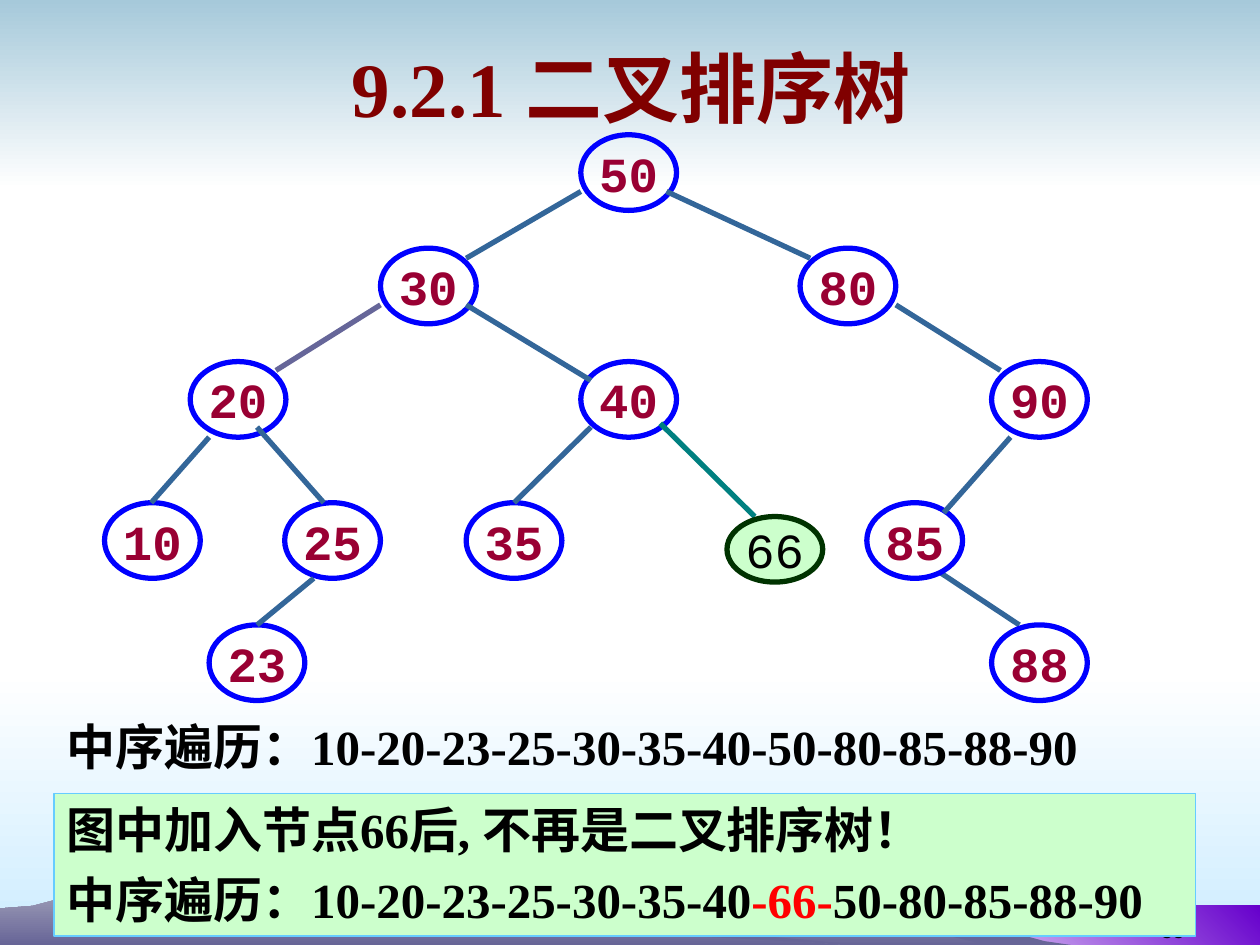
"""Build the binary search tree slide with its in-order traversals."""
import pptx
import pptx.dml.color
import pptx.enum.shapes
import pptx.enum.text
import pptx.oxml
import pptx.oxml.ns
import pptx.util

Inches = pptx.util.Inches
Pt = pptx.util.Pt
RGBColor = pptx.dml.color.RGBColor
SHAPE = pptx.enum.shapes.MSO_SHAPE
ANCHOR = pptx.enum.text.MSO_ANCHOR
ALIGN = pptx.enum.text.PP_ALIGN

BLACK = RGBColor(0, 0, 0)
WHITE = RGBColor(255, 255, 255)
RED = RGBColor(255, 0, 0)
BLUE = RGBColor(0, 0, 255)
MAROON = RGBColor(0x80, 0, 0)
CRIMSON = RGBColor(0x99, 0, 0x33)
STEEL = RGBColor(0x33, 0x66, 0x99)
SLATE = RGBColor(0x66, 0x66, 0x99)
TEAL = RGBColor(0, 0x80, 0x80)
MINT = RGBColor(0xCC, 0xFF, 0xCC)
FOREST = RGBColor(0, 0x33, 0)
SKY = RGBColor(0x66, 0xCC, 0xFF)
PALE_SKY = RGBColor(0xCC, 0xEC, 0xFF)
MIST = RGBColor(0xA6, 0xC9, 0xDA)
PURPLE = RGBColor(0x66, 0, 0xCC)
LAVENDER = RGBColor(0xAE, 0xAE, 0xC2)
LILAC = RGBColor(0x9F, 0x9E, 0xB8)
HILL = RGBColor(0x67, 0x65, 0x97)

SERIF = "Times New Roman"
MONO = "Courier New"
NODE_WIDTH, NODE_HEIGHT = 0.76, 0.6

BANDS = [
    ((0, 5.33, 10, 2.17), WHITE, PALE_SKY, 270),
    ((0, 0, 10, 1.5), MIST, WHITE, 270),
    ((6.83, 7.19, 3.17, 0.31), WHITE, PURPLE, 45),
]
HILLS = [
    (LAVENDER, [(2.58, 7.5), (3.27, 7.31), (3.94, 7.19), (4.65, 7.06), (4.86, 7.13),
                (5.09, 7.11), (5.36, 7.21), (5.66, 7.25), (6.29, 7.12), (6.85, 7.06),
                (7.23, 7.25), (7.64, 7.38), (8.02, 7.46), (8.15, 7.5)]),
    (HILL, [(6.85, 7.06), (7.07, 7.12), (7.34, 7.28), (7.71, 7.38), (7.96, 7.38),
            (8.29, 7.47), (8.5, 7.5), (7.83, 7.5), (7.2, 7.35), (6.93, 7.43),
            (6.98, 7.27), (6.85, 7.12)]),
    (LILAC, [(0, 7.5), (0, 7.21), (0.26, 7.19), (0.56, 7.11), (0.68, 7.07), (0.94, 7.12),
             (1.6, 7.12), (1.97, 7.06), (2.23, 7.08), (2.36, 7.17), (2.79, 7.17),
             (3.18, 7.08), (3.54, 7.09), (4.32, 7.32), (6.67, 7.5)]),
    (HILL, [(3.37, 7.19), (3.44, 7.08), (3.7, 7.1), (4.11, 7.18), (4.55, 7.29),
            (6.83, 7.5), (4.72, 7.39), (4.07, 7.39), (3.74, 7.32), (3.63, 7.22)]),
]
LEVELS = [
    (1.07, [("50", 4.61)]),
    (1.97, [("30", 3.02), ("80", 6.35)]),
    (2.87, [("20", 1.51), ("40", 4.61), ("90", 7.87)]),
    (3.99, [("10", 0.83), ("25", 2.26), ("35", 3.7), ("85", 6.88)]),
    (4.96, [("23", 1.66), ("88", 7.87)]),
]
FILLED_NODES = {"40", "85"}
EDGES = [
    (4.61, 1.52, 3.7, 2.05), (5.29, 1.52, 6.43, 2.05),
    (3.7, 2.42, 4.69, 3.02), (7.11, 2.42, 7.94, 2.94),
    (1.66, 3.47, 1.2, 3.99), (2.04, 3.39, 2.57, 3.99),
    (4.69, 3.39, 4.08, 3.99), (8.02, 3.47, 7.49, 4.07),
    (2.49, 4.59, 2.04, 4.96),
]


def paint(shape, fill=None, line=None, width=3):
    """Set a plain fill and outline, leaving out what is not given."""
    shape.shadow.inherit = False
    if fill is None:
        shape.fill.background()
    else:
        shape.fill.solid()
        shape.fill.fore_color.rgb = fill
    if line is None:
        shape.line.fill.background()
    else:
        shape.line.color.rgb = line
        shape.line.width = Pt(width)


def shade(shape, start, end, angle):
    """Fill a shape with a two-colour linear gradient."""
    paint(shape)
    shape.fill.gradient()
    shape.fill.gradient_angle = angle
    for stop, color in zip(shape.fill.gradient_stops, (start, end)):
        stop.color.rgb = color


def add_span(para, text, size, color, font=SERIF, bold=True):
    """Append one formatted run to a paragraph."""
    span = para.add_run()
    span.text = text
    span.font.size = Pt(size)
    span.font.name = font
    span.font.bold = bold
    span.font.color.rgb = color


def add_backdrop(page):
    """Draw the gradient bands and the hills along the bottom."""
    for place, start, end, angle in BANDS:
        band = page.shapes.add_shape(SHAPE.RECTANGLE, *map(Inches, place))
        shade(band, start, end, angle)
    for top_color, outline in HILLS:
        points = [(Inches(x), Inches(y)) for x, y in outline]
        builder = page.shapes.build_freeform(*points[0])
        builder.add_line_segments(points[1:], close=True)
        shade(builder.convert_to_shape(), top_color, HILL, 270)


def add_node(page, key, left, top, height=NODE_HEIGHT, fill=None, line=BLUE,
             color=CRIMSON, bold=True):
    """Draw one tree node with its key."""
    node = page.shapes.add_shape(
        SHAPE.OVAL, Inches(left), Inches(top), Inches(NODE_WIDTH), Inches(height))
    paint(node, fill, line)
    frame = node.text_frame
    frame.word_wrap = False
    frame.vertical_anchor = ANCHOR.MIDDLE
    para = frame.paragraphs[0]
    para.alignment = ALIGN.CENTER
    add_span(para, key, 28, color, MONO, bold)


def add_edge(page, ends, color=STEEL):
    """Draw one straight tree edge."""
    edge = page.shapes.add_connector(
        pptx.enum.shapes.MSO_CONNECTOR.STRAIGHT, *map(Inches, ends))
    edge.line.color.rgb = color
    edge.line.width = Pt(3)
    properties = edge.element.find(pptx.oxml.ns.qn("p:spPr"))
    properties.append(pptx.oxml.parse_xml(
        f"<a:effectLst {pptx.oxml.ns.nsdecls('a')}/>"))


def add_tree(page):
    """Draw the search tree and the misplaced node 66."""
    add_edge(page, (7.41, 4.51, 8.09, 4.96))
    for top, nodes in LEVELS:
        for key, left in nodes:
            add_node(page, key, left, top, fill=WHITE if key in FILLED_NODES else None)
    for ends in EDGES:
        add_edge(page, ends)
    add_edge(page, (3.02, 2.42, 2.19, 2.94), SLATE)
    add_edge(page, (5.24, 3.36, 5.99, 4.1), TEAL)
    add_node(page, "66", 5.77, 4.1, 0.52, MINT, FOREST, BLACK, False)


def add_title(page, text):
    """Place the title above the backdrop."""
    title = page.shapes.title
    title.left, title.top, title.width, title.height = map(Inches, (0.51, 0.13, 9, 1.12))
    title.text_frame.vertical_anchor = ANCHOR.MIDDLE
    para = title.text_frame.paragraphs[0]
    para.alignment = ALIGN.CENTER
    add_span(para, text, 44, MAROON)
    title.element.getparent().append(title.element)


def add_text(page, place, lines, fill=None, line=None):
    """Add a text panel whose lines are lists of (text, color) spans."""
    box = page.shapes.add_shape(SHAPE.RECTANGLE, *map(Inches, place))
    paint(box, fill, line, 0.75)
    frame = box.text_frame
    frame.word_wrap = True
    frame.vertical_anchor = ANCHOR.TOP
    for index, spans in enumerate(lines):
        para = frame.add_paragraph() if index else frame.paragraphs[0]
        para.alignment = ALIGN.LEFT
        if index:
            para.space_before = Pt(6)
        for text, color in spans:
            add_span(para, text, 28, color)


def add_page_number(page, number):
    """Add the page number at the bottom right."""
    box = page.shapes.add_textbox(*map(Inches, (7.17, 7.03, 2.33, 0.5)))
    box.text_frame.word_wrap = True
    box.text_frame.vertical_anchor = ANCHOR.BOTTOM
    para = box.text_frame.paragraphs[0]
    para.alignment = ALIGN.RIGHT
    add_span(para, number, 12, BLACK, "Arial", False)


def main():
    """Assemble and save the deck."""
    deck = pptx.Presentation()
    deck.slide_width, deck.slide_height = Inches(10), Inches(7.5)
    page = deck.slides.add_slide(deck.slide_layouts[5])
    add_backdrop(page)
    add_page_number(page, "35")
    add_tree(page)
    add_title(page, "9.2.1 二叉排序树")
    add_text(page, (0.43, 5.64, 9.06, 0.57),
             [[("中序遍历：10-20-23-25-30-35-40-50-80-85-88-90", BLACK)]])
    add_text(page, (0.43, 6.3, 9.06, 1.13), [
        [("图中加入节点66后, 不再是二叉排序树！", BLACK)],
        [("中序遍历：10-20-23-25-30-35-40", BLACK), ("-66-", RED),
         ("50-80-85-88-90", BLACK)],
    ], MINT, SKY)
    deck.save("out.pptx")


if __name__ == "__main__":
    main()
